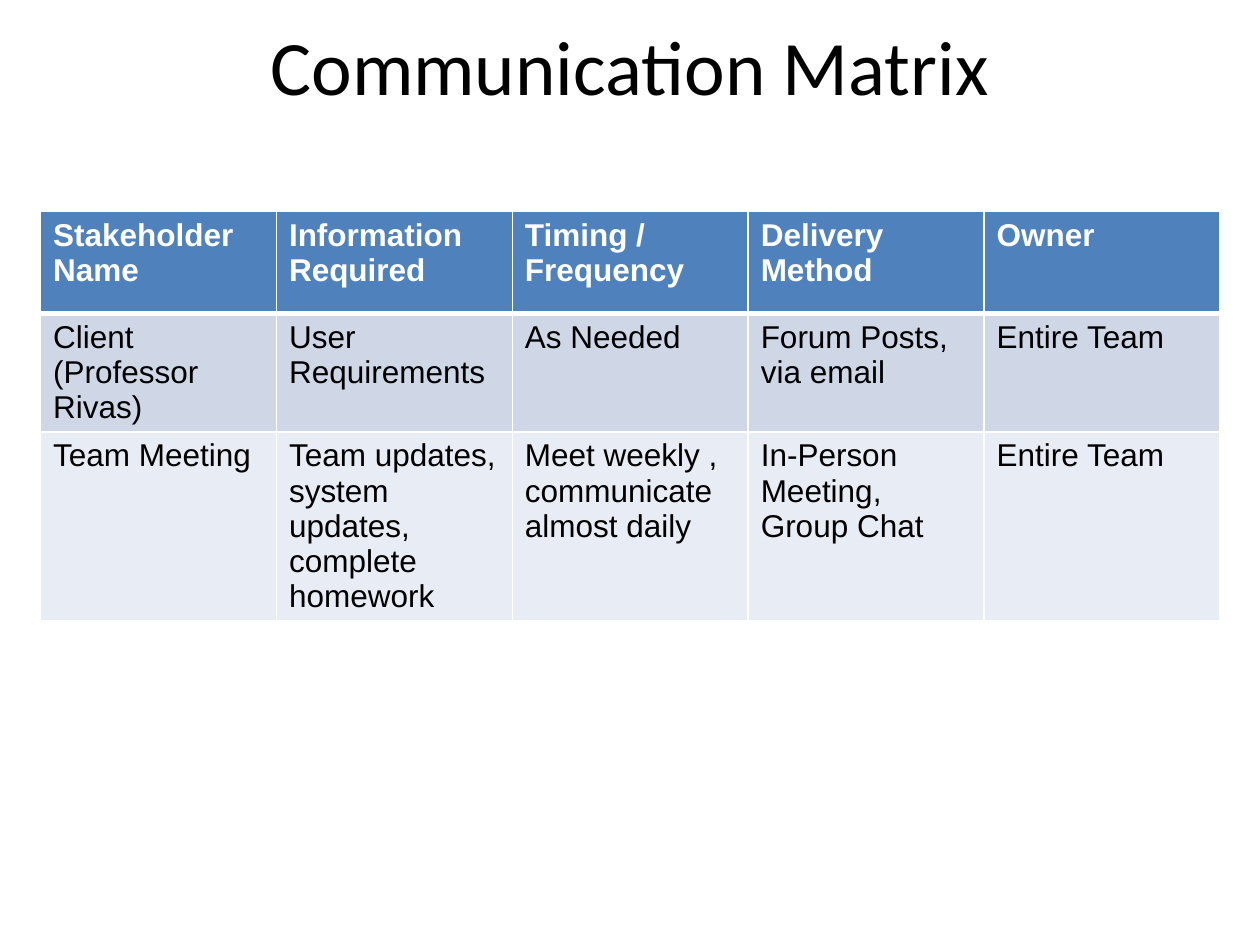
from dataclasses import dataclass

from lxml.etree import SubElement
from pptx import Presentation
from pptx.dml.color import RGBColor
from pptx.enum.text import MSO_ANCHOR, PP_ALIGN
from pptx.oxml.ns import qn
from pptx.util import Pt


@dataclass(frozen=True)
class Theme:
    title_font: str = "Calibri"
    table_font: str = "Arial"
    title_size: int = 44
    table_size: int = 18
    text: str = "000000"
    header_text: str = "FFFFFF"
    header_fill: str = "4F81BD"
    bands: tuple = ("CFD7E7", "E8ECF4")
    border: str = "FFFFFF"
    border_width: int = 1
    header_rule: int = 3


THEME = Theme()

MATRIX = [
    ["Stakeholder Name", "Information Required", "Timing / Frequency",
     "Delivery Method", "Owner"],
    ["Client (Professor Rivas)", "User Requirements", "As Needed",
     "Forum Posts, via email", "Entire Team"],
    ["Team Meeting", "Team updates, system updates, complete homework",
     "Meet weekly , communicate almost daily",
     "In-Person Meeting, Group Chat", "Entire Team"],
]
ROW_HEIGHTS = [58.3, 56.9, 61.2]


def style_text(tf, font, size, color, bold=False):
    for p in tf.paragraphs:
        for r in p.runs:
            r.font.name = font
            r.font.size = Pt(size)
            r.font.bold = bold
            r.font.color.rgb = RGBColor.from_string(color)


def set_border(cell, side, width):
    ln = SubElement(cell._tc.get_or_add_tcPr(), qn(f"a:ln{side}"), w=str(Pt(width)))
    fill = SubElement(ln, qn("a:solidFill"))
    SubElement(fill, qn("a:srgbClr"), val=THEME.border)


def add_title(s, text, left, top, width, height):
    sp = s.shapes.title
    sp.left, sp.top, sp.width, sp.height = map(Pt, (left, top, width, height))
    tf = sp.text_frame
    tf.text = text
    tf.vertical_anchor = MSO_ANCHOR.MIDDLE
    tf.paragraphs[0].alignment = PP_ALIGN.CENTER
    style_text(tf, THEME.title_font, THEME.title_size, THEME.text)


def format_cell(cell, text, row):
    header = row == 0
    cell.text = text
    style_text(cell.text_frame, THEME.table_font, THEME.table_size,
               THEME.header_text if header else THEME.text, bold=header)
    # The rule under the header is heavier; both rows that share it agree
    for side in "LRTB":
        heavy = (row, side) in ((0, "B"), (1, "T"))
        set_border(cell, side, THEME.header_rule if heavy else THEME.border_width)
    fill = THEME.header_fill if header else THEME.bands[(row - 1) % 2]
    cell.fill.solid()
    cell.fill.fore_color.rgb = RGBColor.from_string(fill)


def add_matrix(s, rows, left, top, width, heights):
    frame = s.shapes.add_table(len(rows), len(rows[0]), Pt(left), Pt(top),
                               Pt(width), Pt(sum(heights)))
    table = frame.table
    for column in table.columns:
        column.width = Pt(width / len(rows[0]))
    for i, (texts, height) in enumerate(zip(rows, heights)):
        table.rows[i].height = Pt(height)
        for j, text in enumerate(texts):
            format_cell(table.cell(i, j), text, i)


def main():
    prs = Presentation()
    prs.slide_width, prs.slide_height = Pt(720), Pt(540)
    s = prs.slides.add_slide(prs.slide_layouts[5])  # Title Only

    # Heading
    add_title(s, "Communication Matrix", 36, 6, 648, 62)
    # Stakeholder table
    add_matrix(s, MATRIX, 23.2, 120.8, 674, ROW_HEIGHTS)

    prs.save("out.pptx")


if __name__ == "__main__":
    main()
